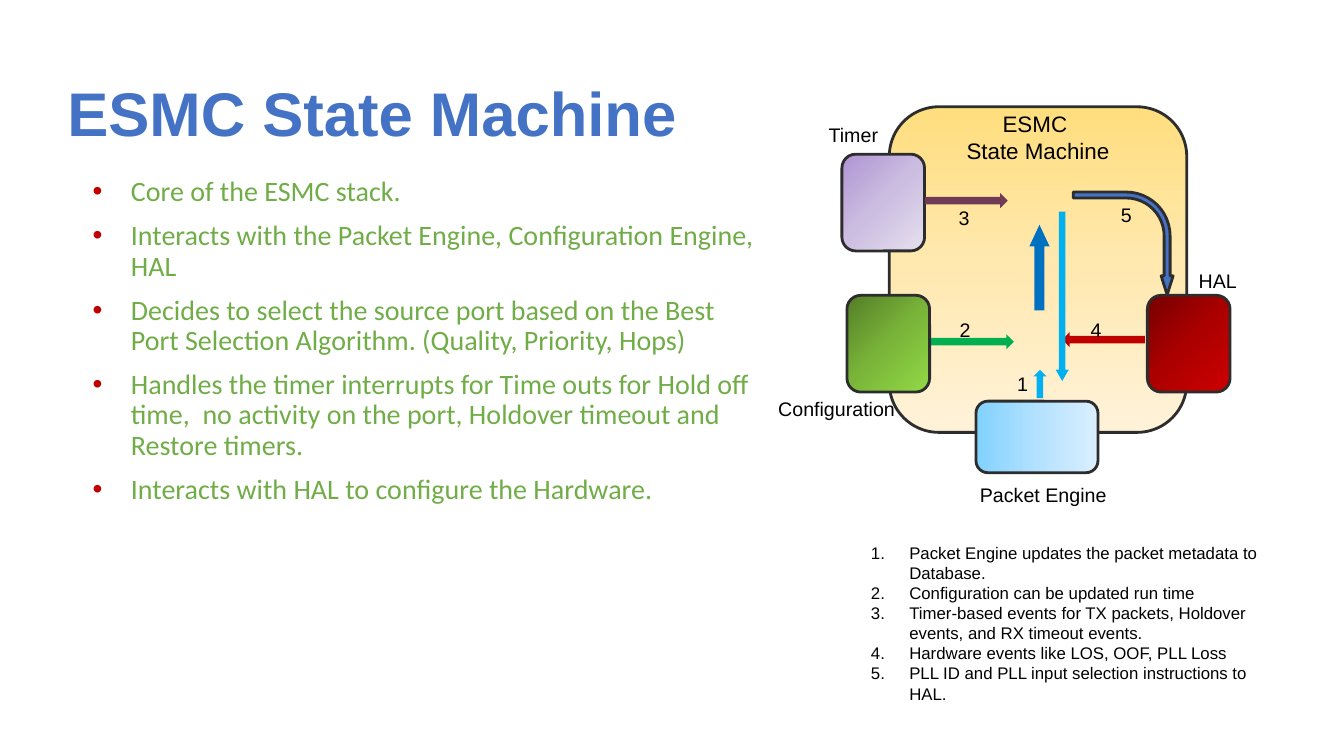
from typing import NamedTuple

from lxml import etree
from pptx import Presentation
from pptx.dml.color import RGBColor
from pptx.enum.shapes import MSO_SHAPE
from pptx.enum.text import MSO_ANCHOR, PP_ALIGN
from pptx.oxml.ns import qn
from pptx.util import Inches, Pt

ROUNDED, UP_ARROW, BENT_ARROW = (
    MSO_SHAPE.ROUNDED_RECTANGLE, MSO_SHAPE.UP_ARROW, MSO_SHAPE.BENT_ARROW)
TOP, BOTTOM = MSO_ANCHOR.TOP, MSO_ANCHOR.BOTTOM
LEFT, CENTER = PP_ALIGN.LEFT, PP_ALIGN.CENTER
OUTLINE, BLACK, BULLET_RED = "2D2D2D", "000000", "C00000"
BLUE, GREEN = "4472C4", "70AD47"


class Box(NamedTuple):
    left: float
    top: float
    width: float
    height: float


class Block(NamedTuple):
    box: Box
    gradient: tuple[str, str, str]
    angle: int


class Arrow(NamedTuple):
    box: Box
    color: str
    rotation: int = 0
    adjustments: tuple[float, ...] = (0.5, 0.5)


class Label(NamedTuple):
    text: str
    left: float
    top: float
    width: float = 1.37


class TextStyle(NamedTuple):
    size: float
    color: str = BLACK
    font: str = "Arial"
    bold: bool = False
    align: PP_ALIGN = LEFT
    anchor: MSO_ANCHOR = TOP
    bottom_inset: float = 0.05
    line_spacing: float = 1.0
    space_before: float = 0
    indent: float = 0
    hanging: float = 0
    bullet: str = ""
    bullet_color: str = BLACK


TITLE = TextStyle(44, BLUE, bold=True, anchor=BOTTOM, bottom_inset=0, line_spacing=0.9)
BODY = TextStyle(20, GREEN, "Calibri", line_spacing=0.9, space_before=10,
                 indent=0.62, hanging=0.38, bullet="•", bullet_color=BULLET_RED)
MACHINE_NAME = TextStyle(16, align=CENTER)
LABEL = TextStyle(14)
STEPS = TextStyle(12, indent=0.38, hanging=0.38, bullet="1.")

BODY_POINTS = [
    "Core of the ESMC stack.",
    "Interacts with the Packet Engine, Configuration Engine, HAL",
    "Decides to select the source port based on the Best Port Selection Algorithm. "
    "(Quality, Priority, Hops)",
    "Handles the timer interrupts for Time outs for Hold off time,  no activity on the "
    "port, Holdover timeout and Restore timers.",
    "Interacts with HAL to configure the Hardware.",
]
STEP_TEXTS = [
    "Packet Engine updates the packet metadata to Database.",
    "Configuration can be updated run time",
    "Timer-based events for TX packets, Holdover events, and RX timeout events.",
    "Hardware events like LOS, OOF, PLL Loss",
    "PLL ID and PLL input selection instructions to HAL.",
]
STATE_MACHINE = Block(Box(8.82, 1.06, 2.95, 3.23), ("FFDE7E", "FFE9B1", "FFF2D9"), 90)
CONFIGURATION = Block(Box(8.4, 2.93, 0.82, 0.96), ("547D28", "7AB539", "92D946"), 45)
HAL = Block(Box(11.38, 2.93, 0.82, 0.96), ("770000", "AC0000", "CE0000"), 45)
PACKET_ENGINE = Block(Box(9.68, 3.98, 1.21, 0.71), ("81D2FF", "B3E1FF", "DAEFFF"), 0)
TIMER = Block(Box(8.35, 1.53, 0.82, 0.96), ("AF94D2", "CCBEE1", "E6E0EF"), 45)
ARROWS = [
    Arrow(Box(10.25, 3.67, 0.13, 0.28), "00B0F0"),
    Arrow(Box(9.57, 2.98, 0.15, 0.82), "00B050", 90),
    Arrow(Box(10.87, 2.96, 0.15, 0.82), "C00000", 270),
    Arrow(Box(10.21, 2.23, 0.2, 0.85), "0070C0", 0, (0.5, 1.07)),
    Arrow(Box(9.51, 1.58, 0.15, 0.82), "6F3B55", 90),
    Arrow(Box(10.47, 2.1, 0.13, 1.68), "00B0F0", 180, (0.5, 0.87)),
]
HAL_INSTRUCTION = Arrow(Box(10.63, 1.92, 1.02, 0.99), BLUE, 90, (0.06, 0.06, 0.19, 0.44))
LABELS = [
    Label("Packet Engine", 9.62, 4.74, 1.69),
    Label("Configuration", 7.62, 3.89),
    Label("Timer", 8.12, 1.17),
    Label("HAL", 11.79, 2.62),
    Label("1", 9.99, 3.64),
    Label("2", 9.42, 3.11),
    Label("3", 9.41, 1.99),
    Label("4", 10.72, 3.1),
    Label("5", 11.02, 1.96),
]


def rgb(color: str) -> RGBColor:
    return RGBColor.from_string(color)


def add_bullet(paragraph, style: TextStyle) -> None:
    properties = paragraph._p.get_or_add_pPr()
    properties.set("marL", str(Inches(style.indent)))
    properties.set("indent", str(-Inches(style.hanging)))
    color = etree.SubElement(properties, qn("a:buClr"))
    etree.SubElement(color, qn("a:srgbClr"), val=style.bullet_color)
    etree.SubElement(properties, qn("a:buFont"), typeface="Arial")
    if style.bullet == "1.":
        etree.SubElement(properties, qn("a:buAutoNum"), type="arabicPeriod")
    else:
        etree.SubElement(properties, qn("a:buChar"), char=style.bullet)


def add_text(slide, box: Box, texts: list[str], style: TextStyle) -> None:
    frame = slide.shapes.add_textbox(*map(Inches, box)).text_frame
    frame.word_wrap = True
    frame.vertical_anchor = style.anchor
    frame.margin_bottom = Inches(style.bottom_inset)
    for index, text in enumerate(texts):
        paragraph = frame.add_paragraph() if index else frame.paragraphs[0]
        paragraph.alignment = style.align
        paragraph.line_spacing = style.line_spacing
        paragraph.space_before = Pt(style.space_before if index else 0)
        if style.bullet:
            add_bullet(paragraph, style)
        run = paragraph.add_run()
        run.text = text
        run.font.size = Pt(style.size)
        run.font.name = style.font
        run.font.bold = style.bold
        run.font.color.rgb = rgb(style.color)


def set_outline(shape) -> None:
    shape.line.color.rgb = rgb(OUTLINE)
    shape.line.width = Pt(2)


def add_block(slide, block: Block) -> None:
    shape = slide.shapes.add_shape(ROUNDED, *map(Inches, block.box))
    shape.shadow.inherit = False
    set_outline(shape)
    shape.fill.gradient()
    shape.fill.gradient_angle = -block.angle % 360
    stops = next(shape._element.iter(qn("a:gsLst")))
    stops.clear()
    for position, color in zip((0, 50000, 100000), block.gradient):
        stop = etree.SubElement(stops, qn("a:gs"), pos=str(position))
        etree.SubElement(stop, qn("a:srgbClr"), val=color)


def add_arrow(slide, arrow: Arrow, preset: MSO_SHAPE = UP_ARROW, outlined: bool = False) -> None:
    shape = slide.shapes.add_shape(preset, *map(Inches, arrow.box))
    shape.shadow.inherit = False
    shape.rotation = arrow.rotation
    for index, value in enumerate(arrow.adjustments):
        shape.adjustments[index] = value
    shape.fill.solid()
    shape.fill.fore_color.rgb = rgb(arrow.color)
    if outlined:
        set_outline(shape)
    else:
        shape.line.fill.background()


def main() -> None:
    presentation = Presentation()
    presentation.slide_width, presentation.slide_height = Inches(13.33), Inches(7.5)
    slide = presentation.slides.add_slide(presentation.slide_layouts[6])
    add_text(slide, Box(0.57, 0.23, 9.11, 1.26), ["ESMC State Machine"], TITLE)
    add_text(slide, Box(0.58, 1.71, 7.04, 4.95), BODY_POINTS, BODY)
    for block in (STATE_MACHINE, CONFIGURATION, HAL, PACKET_ENGINE, TIMER):
        add_block(slide, block)
    add_text(slide, Box(8.82, 1.04, 2.95, 0.63), ["ESMC ", "State Machine"], MACHINE_NAME)
    for arrow in ARROWS:
        add_arrow(slide, arrow)
    add_arrow(slide, HAL_INSTRUCTION, BENT_ARROW, outlined=True)
    for label in LABELS:
        add_text(slide, Box(label.left, label.top, label.width, 0.34), [label.text], LABEL)
    add_text(slide, Box(8.54, 5.33, 4.22, 1.72), STEP_TEXTS, STEPS)
    presentation.save("out.pptx")


if __name__ == "__main__":
    main()
